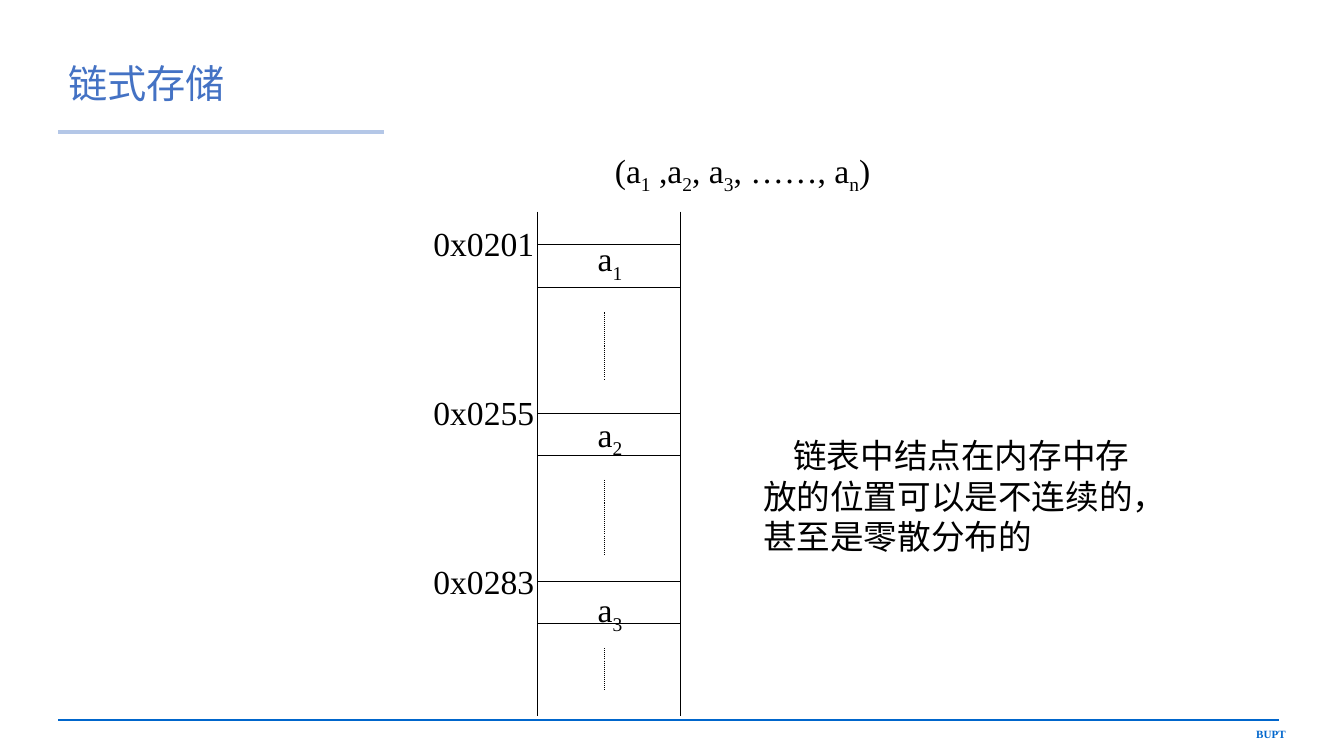
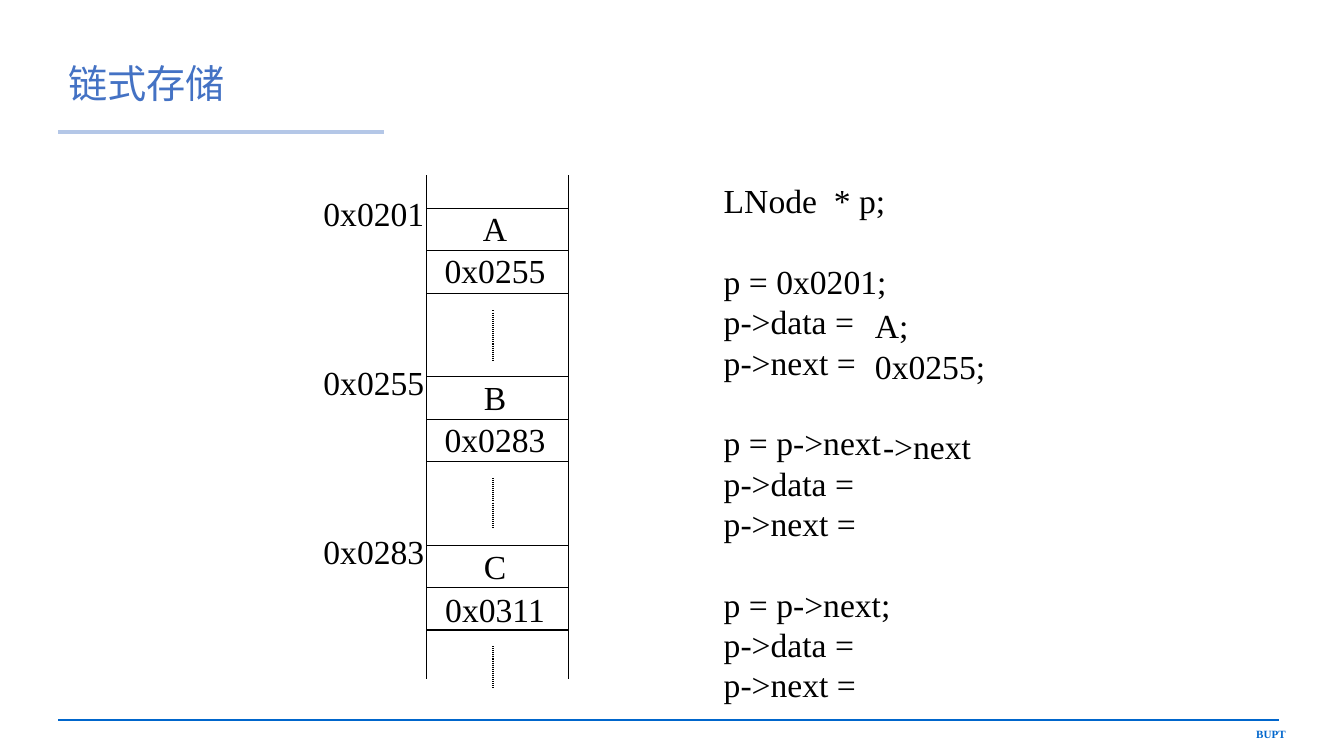
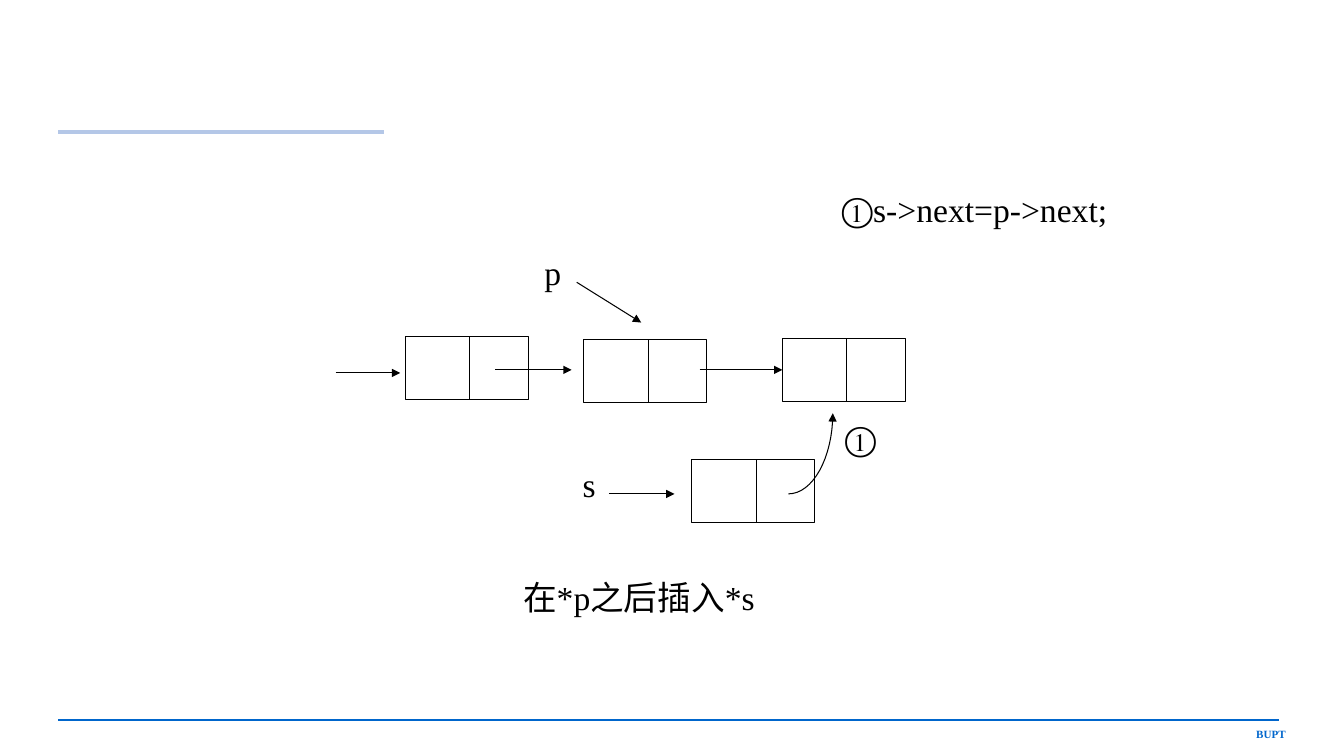
from dataclasses import dataclass

from lxml import etree
from pptx import Presentation
from pptx.dml.color import RGBColor
from pptx.enum.dml import MSO_LINE
from pptx.enum.shapes import MSO_CONNECTOR, MSO_SHAPE
from pptx.enum.text import MSO_ANCHOR, PP_ALIGN
from pptx.oxml.ns import qn
from pptx.util import Pt

EMU_PER_PX = 9144
FONT = "Times New Roman"
LINE_PITCH = Pt(28.8)
COLOURS = {"ink": "000000", "title": "4472C4", "accent": "B4C7E7", "footer": "0066CC"}


@dataclass(frozen=True)
class MemoryColumn:
    left: int
    top: int
    width: int
    cells_per_node: int
    dots_x: int
    dots: tuple[tuple[int, int], ...]
    height: int = 500
    first_row: int = 33
    cell_height: int = 42
    node_pitch: int = 167


@dataclass(frozen=True)
class ListNode:
    left: int
    top: int
    width: int = 122
    height: int = 62
    divider: int = 64


@dataclass(frozen=True)
class Arrow:
    start: tuple[int, int]
    end: tuple[int, int]


ADDRESSES = ("0x0201", "0x0255", "0x0283")


def px(length):
    return round(length * EMU_PER_PX)


def rgb(name):
    return RGBColor.from_string(COLOURS[name])


def add_text(page, text, left, top, width, height=50, *, size=24, colour="ink",
             bold=False, align=PP_ALIGN.LEFT, anchor=MSO_ANCHOR.TOP,
             spacing=LINE_PITCH, inset=True, indent=0):
    """Blank lines part blocks, set off by one line; underscores enclose subscripts."""
    box = page.shapes.add_textbox(px(left), px(top), px(width), px(height))
    frame = box.text_frame
    frame.word_wrap = True
    frame.vertical_anchor = anchor
    if not inset:
        frame.margin_left = frame.margin_right = 0
        frame.margin_top = frame.margin_bottom = 0
    for block_number, block in enumerate(text.split("\n\n")):
        for line_number, line in enumerate(block.split("\n")):
            first = block_number == line_number == 0
            para = frame.paragraphs[0] if first else frame.add_paragraph()
            para.alignment = align
            para.line_spacing = spacing
            if block_number and not line_number:
                para.space_before = LINE_PITCH
            if first and indent:
                para._p.get_or_add_pPr().set("indent", str(px(indent)))
            for position, part in enumerate(line.split("_")):
                if not part:
                    continue
                span = para.add_run()
                span.text = part
                span.font.name = FONT
                span.font.size = Pt(size)
                span.font.bold = bold
                span.font.color.rgb = rgb(colour)
                if position % 2:
                    span.font._element.set("baseline", "-25000")
    return box


def style_line(line, colour="ink", weight=0.75, dotted=False, arrow=False):
    line.color.rgb = rgb(colour)
    line.width = Pt(weight)
    if dotted:
        line.dash_style = MSO_LINE.ROUND_DOT
    if arrow:
        etree.SubElement(line._get_or_add_ln(), qn("a:tailEnd"), type="triangle")


def add_line(page, start, end, **style):
    connector = page.shapes.add_connector(
        MSO_CONNECTOR.STRAIGHT, *map(px, start), *map(px, end))
    style_line(connector.line, **style)
    etree.SubElement(connector._element.spPr, qn("a:effectLst"))
    return connector


def add_page(deck, title=""):
    page = deck.slides.add_slide(deck.slide_layouts[6])
    add_line(page, (58, 714), (1269, 714), colour="footer", weight=1.5)
    add_text(page, "BUPT", 1150, 717, 135, 23, size=7.9, colour="footer",
             bold=True, align=PP_ALIGN.RIGHT, spacing=1.0)
    add_line(page, (58, 131), (381, 131), colour="accent", weight=3.5)
    if title:
        add_text(page, title, 58, 40, 1118, 90, size=28, colour="title",
                 anchor=MSO_ANCHOR.MIDDLE, spacing=0.9)
    return page


def draw_memory(page, column: MemoryColumn):
    right = column.left + column.width
    for x in (column.left, right):
        add_line(page, (x, column.top), (x, column.top + column.height))
    for node in range(len(ADDRESSES)):
        node_top = column.top + column.first_row + node * column.node_pitch
        for row in range(column.cells_per_node + 1):
            y = node_top + row * column.cell_height
            add_line(page, (column.left, y), (right, y))
    for top, bottom in column.dots:
        add_line(page, (column.dots_x, top), (column.dots_x, bottom), dotted=True)


def add_labels(page, labels, left, top, width, pitch=168, align=PP_ALIGN.LEFT):
    for number, label in enumerate(labels):
        add_text(page, label, left, top + number * pitch, width, align=align)


def draw_node(page, node: ListNode):
    box = page.shapes.add_shape(MSO_SHAPE.RECTANGLE, px(node.left), px(node.top),
                                px(node.width), px(node.height))
    box.shadow.inherit = False
    box.fill.background()
    style_line(box.line)
    x = node.left + node.divider
    add_line(page, (x, node.top), (x, node.top + node.height))
    return box


def draw_curved_arrow(page, start, end, steps=16):
    """Draw a cubic curve that leaves sideways and arrives vertically."""
    (x0, y0), (x3, y3) = start, end
    controls = (start, (x0 + 0.55 * (x3 - x0), y0), (x3, y0 + 0.45 * (y3 - y0)), end)
    points = []
    for step in range(1, steps + 1):
        t = step / steps
        weights = ((1 - t) ** 3, 3 * t * (1 - t) ** 2, 3 * t * t * (1 - t), t ** 3)
        points.append(tuple(px(sum(w * c[axis] for w, c in zip(weights, controls)))
                            for axis in (0, 1)))
    builder = page.shapes.build_freeform(px(x0), px(y0))
    builder.add_line_segments(points, close=False)
    curve = builder.convert_to_shape()
    curve.shadow.inherit = False
    curve.fill.background()
    style_line(curve.line, arrow=True)


def build_scattered_page(deck):
    page = add_page(deck, "链式存储")
    add_text(page, "(a_1_ ,a_2_, a_3_, ……, a_n_)", 600, 149, 320)
    draw_memory(page, MemoryColumn(533, 210, 142, 1, 600,
                                   ((310, 376), (476, 551), (643, 685))))
    add_labels(page, ("a_1_", "a_2_", "a_3_"), 583, 237, 60, pitch=174)
    add_labels(page, ADDRESSES, 420, 216, 130)
    add_text(page, "链表中结点在内存中存\n放的位置可以是不连续的，\n甚至是零散分布的",
             747, 427, 440, 131, indent=30)


def build_pointer_page(deck):
    page = add_page(deck, "链式存储")
    add_text(page, "LNode  * p;\n\np = 0x0201;\np->data =\np->next =\n\n"
             "p = p->next\np->data =\np->next =\n\n"
             "p = p->next;\np->data =\np->next =", 708, 174, 200, 535)
    draw_memory(page, MemoryColumn(423, 174, 141, 2, 489,
                                   ((308, 358), (474, 524), (641, 683))))
    add_labels(page, ("A", "B", "C"), 421, 201, 140, align=PP_ALIGN.CENTER)
    add_labels(page, ("0x0255", "0x0283", "0x0311"), 421, 243, 140,
               align=PP_ALIGN.CENTER)
    add_labels(page, ADDRESSES, 311, 186, 130)
    add_text(page, "A;\n0x0255;", 858, 298, 150, 90)
    add_text(page, "->next", 866, 418, 130)


def build_insertion_page(deck):
    page = add_page(deck)
    add_text(page, "在*p之后插入*s", 509, 567, 250, 90)
    add_text(page, "①s->next=p->next;", 825, 183, 320)
    draw_curved_arrow(page, (782, 490), (826, 410))
    for label, left, top in (("①", 838, 415), ("p", 540, 250), ("s", 578, 460)):
        add_text(page, label, left, top, 47, inset=False)
    nodes = (ListNode(402, 334), ListNode(579, 337), ListNode(776, 336),
             ListNode(686, 456))
    boxes = [draw_node(page, node) for node in nodes]
    for arrow in (Arrow((491, 367), (567, 367)), Arrow((572, 280), (636, 320)),
                  Arrow((604, 490), (669, 490)), Arrow((333, 370), (397, 370))):
        add_line(page, arrow.start, arrow.end, arrow=True)
    next_link = add_line(page, (694, 367), (776, 367), arrow=True)
    next_link.end_connect(boxes[2], 1)


def main():
    deck = Presentation()
    deck.slide_width, deck.slide_height = px(1333), px(750)
    build_scattered_page(deck)
    build_pointer_page(deck)
    build_insertion_page(deck)
    deck.save("out.pptx")


if __name__ == "__main__":
    main()
